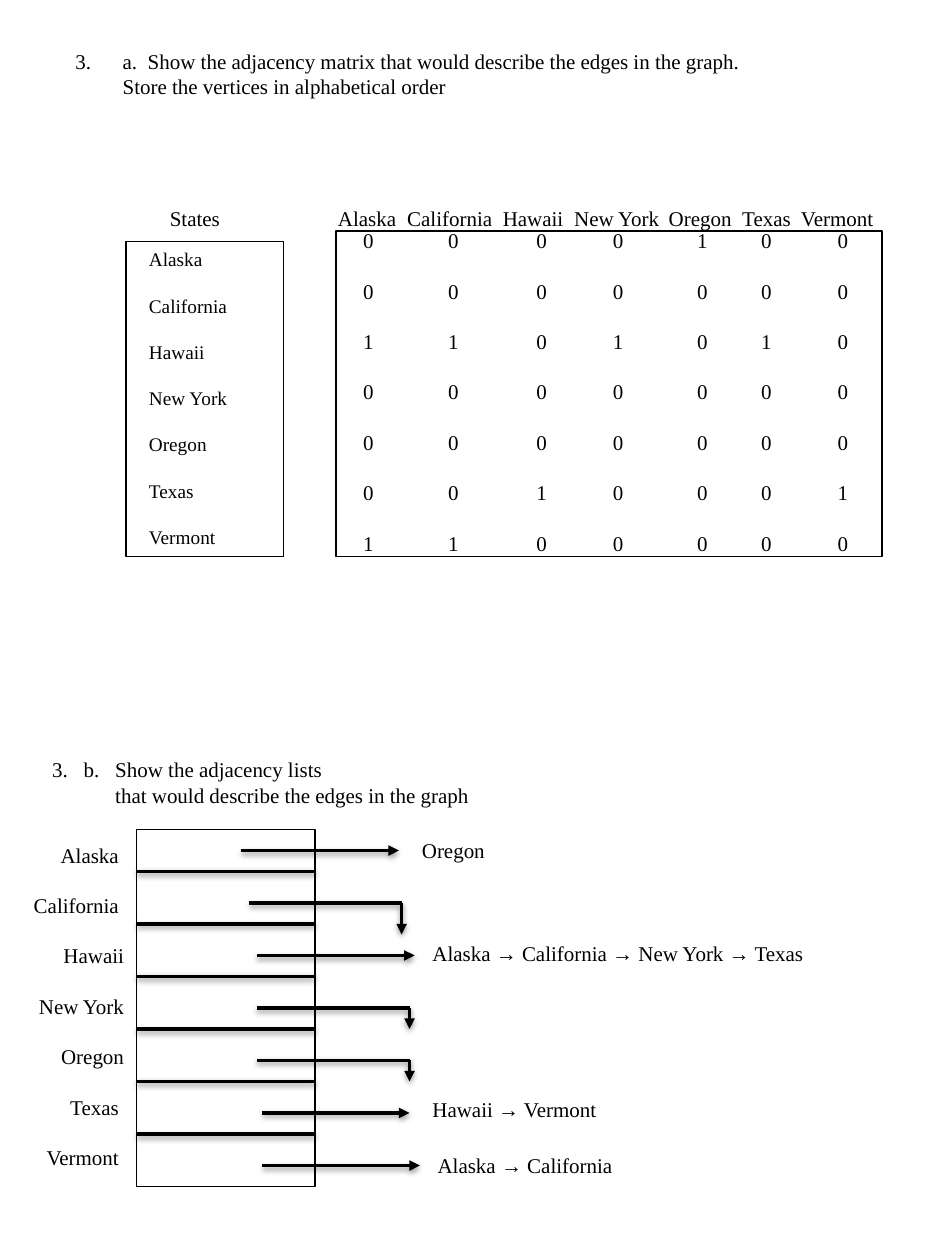
from lxml.etree import SubElement
from pptx import Presentation
from pptx.dml.color import RGBColor
from pptx.enum.shapes import MSO_CONNECTOR, MSO_SHAPE
from pptx.enum.text import PP_ALIGN
from pptx.oxml.ns import qn
from pptx.util import Inches, Pt

FONT = "Times New Roman"
INK = "000000"

# Twelve grid units to the inch: 90 columns by 120 rows
COLUMNS, ROWS = 90, 120

STATES = ["Alaska", "California", "Hawaii", "New York", "Oregon", "Texas", "Vermont"]
EDGES = {
    "Alaska": ["Oregon"],
    "Hawaii": ["Alaska", "California", "New York", "Texas"],
    "Texas": ["Hawaii", "Vermont"],
    "Vermont": ["Alaska", "California"],
}

# Matrix: left of each column of digits, and tab stops of its headings
DIGIT_LEFTS = [33.4, 41.5, 49.9, 57.2, 65.2, 71.3, 78.6]
HEADING_STOPS = [6.6, 15.7, 22.5, 31.5, 38.5, 44.1]

# Adjacency lists: start and end column of each pointer, rows it drops
POINTERS = [(23, 38, 0), (23.75, 38.25, 3), (24.5, 39.5, 0), (24.5, 39, 2),
            (24.5, 39, 2), (25, 39, 0), (25, 40, 0)]
# Left, top and width of each list
LIST_PLACES = {
    "Alaska": (39, 79.2, 8.5),
    "Hawaii": (40, 89, 38),
    "Texas": (40, 103.8, 18.25),
    "Vermont": (40.5, 109.2, 19.2),
}
LIST_STEP = 5


def grid(units):
    return Inches(units / 12)


def colour(hex_code):
    return RGBColor.from_string(hex_code)


def add_tab_stops(paragraph, stops):
    tab_list = SubElement(paragraph._p.get_or_add_pPr(), qn("a:tabLst"))
    for stop in stops:
        SubElement(tab_list, qn("a:tab"), pos=str(grid(stop)), algn="l")


def add_number(paragraph, start, indent):
    properties = paragraph._p.get_or_add_pPr()
    properties.set("marL", str(grid(indent)))
    properties.set("indent", str(-grid(indent)))
    SubElement(properties, qn("a:buAutoNum"), type="arabicPeriod", startAt=str(start))


def add_text(slide, place, lines, size=12, wrap=True, align=PP_ALIGN.LEFT,
             double=False, stops=(), number=None, hanging=0):
    box = slide.shapes.add_textbox(*map(grid, place))
    frame = box.text_frame
    frame.word_wrap = wrap
    for index, line in enumerate(lines):
        paragraph = frame.add_paragraph() if index else frame.paragraphs[0]
        paragraph.text = line
        paragraph.alignment = align
        paragraph.line_spacing = Pt(size * 1.2)
        if double and index < len(lines) - 1:
            paragraph.space_after = Pt(size * 1.2)
        if number:
            add_number(paragraph, number, 4.5)
        if stops:
            add_tab_stops(paragraph, stops)
        if hanging and index:
            paragraph._p.get_or_add_pPr().set("marL", str(grid(hanging)))
        paragraph.font.name = FONT
        paragraph.font.size = Pt(size)
        paragraph.font.color.rgb = colour(INK)


def add_frame(slide, *place):
    frame = slide.shapes.add_shape(MSO_SHAPE.RECTANGLE, *map(grid, place))
    frame.shadow.inherit = False
    frame.fill.background()
    frame.line.color.rgb = colour(INK)
    frame.line.width = Pt(0.75)


def add_line(slide, *ends, arrow=False):
    """Draw a line that keeps the theme's soft shadow."""
    line = slide.shapes.add_connector(MSO_CONNECTOR.STRAIGHT, *map(grid, ends))
    line.line.color.rgb = colour(INK)
    line.line.width = Pt(2)
    if arrow:
        SubElement(line.line._get_or_add_ln(), qn("a:tailEnd"), type="triangle")


def add_matrix(slide):
    add_text(slide, (6, 4, 70, 6),
             ["a.  Show the adjacency matrix that would describe the edges in the graph. "
              "Store the vertices in alphabetical order"], number=3)

    # Vertices
    add_frame(slide, 12, 23, 15, 30)
    add_text(slide, (15, 19, 7.2, 3.6), ["States"], wrap=False)
    add_text(slide, (13, 23, 13, 30.1), STATES, size=11, double=True)

    # Edges
    add_frame(slide, 32, 22, 52, 31)
    add_text(slide, (31, 19, 57, 3.6), ["\t".join(STATES)], stops=HEADING_STOPS)
    for target, left in zip(STATES, DIGIT_LEFTS):
        digits = [str(int(target in EDGES.get(source, []))) for source in STATES]
        add_text(slide, (left, 21.1, 3.5, 32.8), digits, wrap=False, double=True)


def add_lists(slide):
    add_text(slide, (3.8, 71.5, 42.2, 6),
             ["3.\tb.\tShow the adjacency lists",
              "that would describe the edges in the graph"],
             stops=(3, 6), hanging=6)

    # Vertex array
    add_frame(slide, 13, 79, 17, 34)
    add_text(slide, (0, 79.6, 13, 32.8),
             ["Alaska ", "California ", "Hawaii", "New York", "Oregon", "Texas ", "Vermont "],
             align=PP_ALIGN.RIGHT, double=True)
    for index in range(1, len(STATES)):
        row = 78 + index * LIST_STEP
        add_line(slide, 13, row, 30, row)

    # Pointers: straight to a list, or bent down where there is none
    for index, (start, end, drop) in enumerate(POINTERS):
        row = 81 + index * LIST_STEP
        add_line(slide, start, row, end, row, arrow=not drop)
        if drop:
            add_line(slide, end, row, end, row + drop, arrow=True)

    # Lists
    for source, (left, top, width) in LIST_PLACES.items():
        add_text(slide, (left, top, width, 3.6), [" → ".join(EDGES[source])], wrap=False)


def main():
    presentation = Presentation()
    presentation.slide_width = grid(COLUMNS)
    presentation.slide_height = grid(ROWS)
    slide = presentation.slides.add_slide(presentation.slide_layouts[6])
    add_matrix(slide)
    add_lists(slide)
    presentation.save("out.pptx")


if __name__ == "__main__":
    main()
